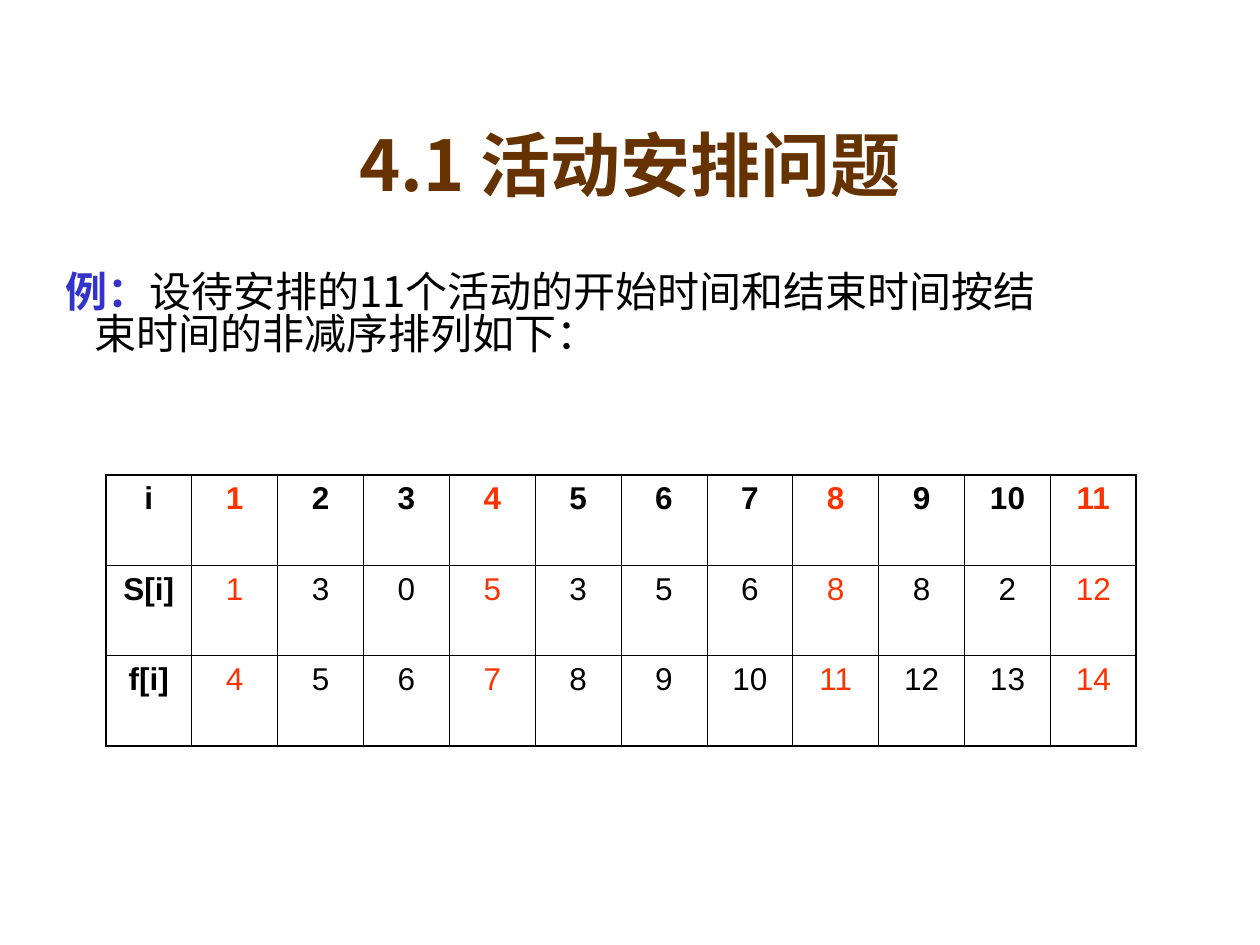
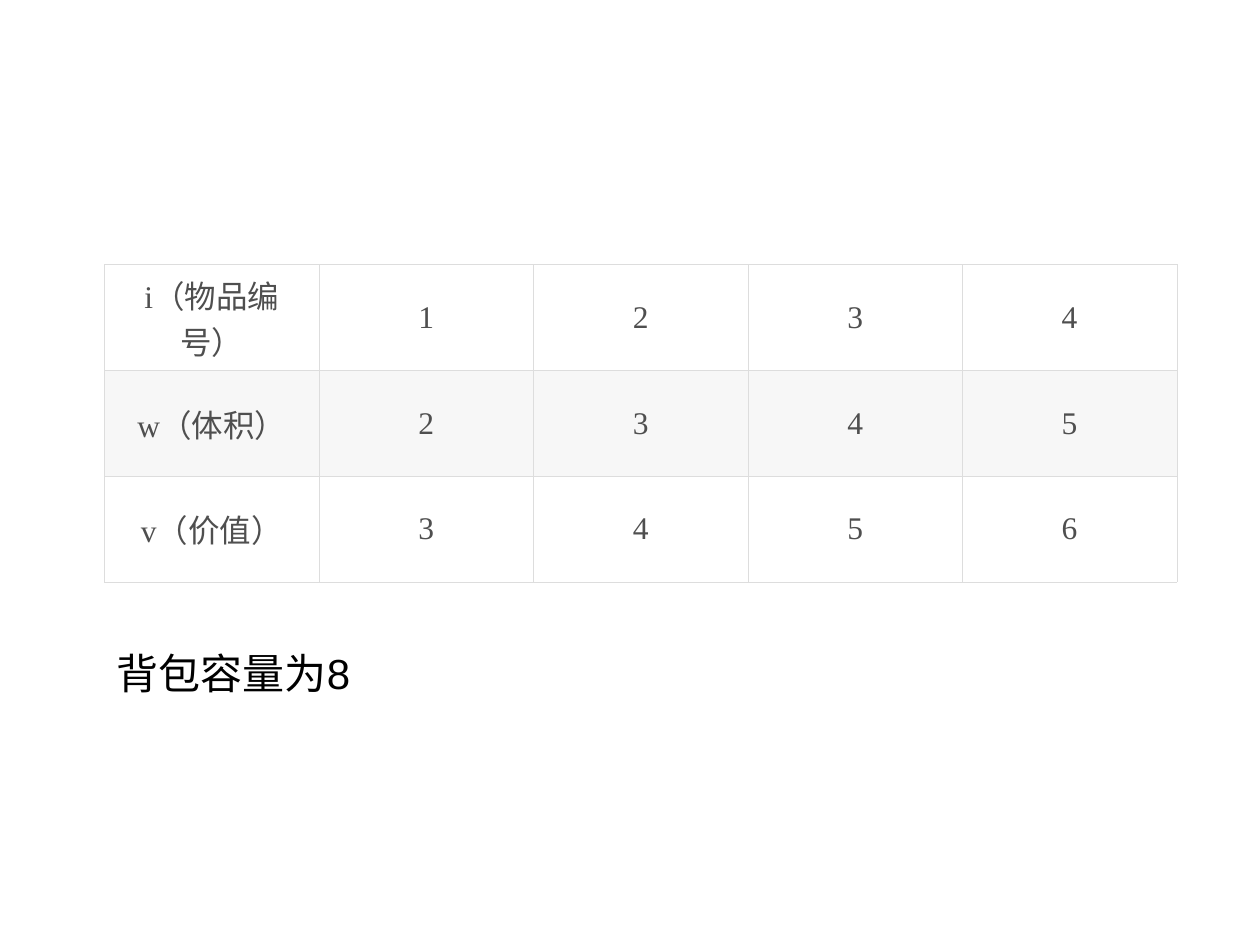
"""Build two slides on greedy activity selection and a knapsack instance."""
import pptx
import pptx.dml.color
import pptx.enum.text
import pptx.oxml.ns
import pptx.util
from lxml import etree

Inches = pptx.util.Inches
CENTER = pptx.enum.text.PP_ALIGN.CENTER
MIDDLE = pptx.enum.text.MSO_ANCHOR.MIDDLE
TOP = pptx.enum.text.MSO_ANCHOR.TOP

CJK_FONT = "Noto Sans CJK SC"
BLACK, BROWN, BLUE, RED = "000000", "663300", "3333CC", "FF3300"
GREY, BORDER_GREY, WHITE, BAND = "4F4F4F", "DDDDDD", "FFFFFF", "F7F7F7"

TITLE = "4.1 活动安排问题"
EXAMPLE = [
    ("例：", BLUE, True),
    ("设待安排的11个活动的开始时间和结束时间按结束时间的非减序排列如下：", BLACK, False),
]
ACTIVITIES = [
    ["i", *range(1, 12)],
    ["S[i]", 1, 3, 0, 5, 3, 5, 6, 8, 8, 2, 12],
    ["f[i]", 4, 5, 6, 7, 8, 9, 10, 11, 12, 13, 14],
]
SELECTED = {1, 4, 8, 11}
ITEMS = [
    ["i（物品编号）", 1, 2, 3, 4],
    ["w（体积）", 2, 3, 4, 5],
    ["v（价值）", 3, 4, 5, 6],
]
CAPACITY = "背包容量为8"


def color(value):
    return pptx.dml.color.RGBColor.from_string(value)


def style(span, size, fill, font=CJK_FONT, bold=False):
    span.font.size = pptx.util.Pt(size)
    span.font.bold = bold
    span.font.name = font
    span.font.color.rgb = color(fill)
    latin = span.font._element.find(pptx.oxml.ns.qn("a:latin"))
    east_asian = etree.Element(pptx.oxml.ns.qn("a:ea"), typeface=CJK_FONT)
    latin.addnext(east_asian)


def add_text(page, place, spans, size, font=CJK_FONT, anchor=TOP):
    box = page.shapes.add_textbox(*map(Inches, place))
    frame = box.text_frame
    frame.word_wrap = True
    frame.vertical_anchor = anchor
    para = frame.paragraphs[0]
    for text, fill, bold in spans:
        span = para.add_run()
        span.text = text
        style(span, size, fill, font, bold)
    return frame


def set_borders(cell, fill, widths):
    properties = cell._tc.get_or_add_tcPr()
    for index, (side, width) in enumerate(zip("LRTB", widths)):
        line = etree.Element(pptx.oxml.ns.qn(f"a:ln{side}"), w=str(pptx.util.Pt(width)))
        solid = etree.SubElement(line, pptx.oxml.ns.qn("a:solidFill"))
        etree.SubElement(solid, pptx.oxml.ns.qn("a:srgbClr"), val=fill)
        properties.insert(index, line)


def add_grid(page, place, rows, font, border, outer, inner, margin, anchor, look):
    """Add a table; look(row, column) gives text colour, bold and cell fill."""
    last_row, last_column = len(rows) - 1, len(rows[0]) - 1
    left, top, width, height = place
    grid = page.shapes.add_table(len(rows), len(rows[0]), *map(Inches, place)).table
    for column in grid.columns:
        column.width = Inches(width / len(rows[0]))
    for row in grid.rows:
        row.height = Inches(height / len(rows))
    for r, values in enumerate(rows):
        for c, value in enumerate(values):
            text_color, bold, background = look(r, c)
            cell = grid.cell(r, c)
            cell.text_frame.text = str(value)
            cell.vertical_anchor = anchor
            cell.margin_left = cell.margin_right = Inches(margin)
            para = cell.text_frame.paragraphs[0]
            para.alignment = CENTER
            style(para.runs[0], 18, text_color, font, bold)
            if background:
                cell.fill.solid()
                cell.fill.fore_color.rgb = color(background)
            else:
                cell.fill.background()
            edges = (c == 0, c == last_column, r == 0, r == last_row)
            set_borders(cell, border, [outer if edge else inner for edge in edges])


def activity_look(row, column):
    return RED if column in SELECTED else BLACK, row == 0 or column == 0, None


def item_look(row, column):
    return GREY, False, BAND if row % 2 else WHITE


def build_activities(page):
    title = add_text(page, (0.75, 0.67, 8.5, 1.25), [(TITLE, BROWN, True)], 40, anchor=MIDDLE)
    title.paragraphs[0].alignment = CENTER
    example = add_text(page, (0.27, 2.1, 8.27, 1.19), EXAMPLE, 24)
    example.margin_top = Inches(0.08)
    para = example.paragraphs[0]
    para.line_spacing = 0.82
    indent = para._p.get_or_add_pPr()
    indent.set("marL", str(Inches(0.38)))
    indent.set("indent", str(Inches(-0.23)))
    add_grid(page, (0.84, 3.77, 8.18, 2.15), ACTIVITIES, "Arial", BLACK,
             1.08, 0.45, 0.1, TOP, activity_look)


def build_knapsack(page):
    add_grid(page, (0.83, 2.1, 8.51, 2.52), ITEMS, "Times New Roman", BORDER_GREY,
             0.28, 0.28, 0.07, MIDDLE, item_look)
    add_text(page, (0.83, 5.09, 7.24, 0.5), [(CAPACITY, BLACK, False)], 24, "Arial")


def main():
    deck = pptx.Presentation()
    deck.slide_width, deck.slide_height = Inches(10), Inches(7.5)
    for build in (build_activities, build_knapsack):
        build(deck.slides.add_slide(deck.slide_layouts[6]))
    deck.save("out.pptx")


if __name__ == "__main__":
    main()
